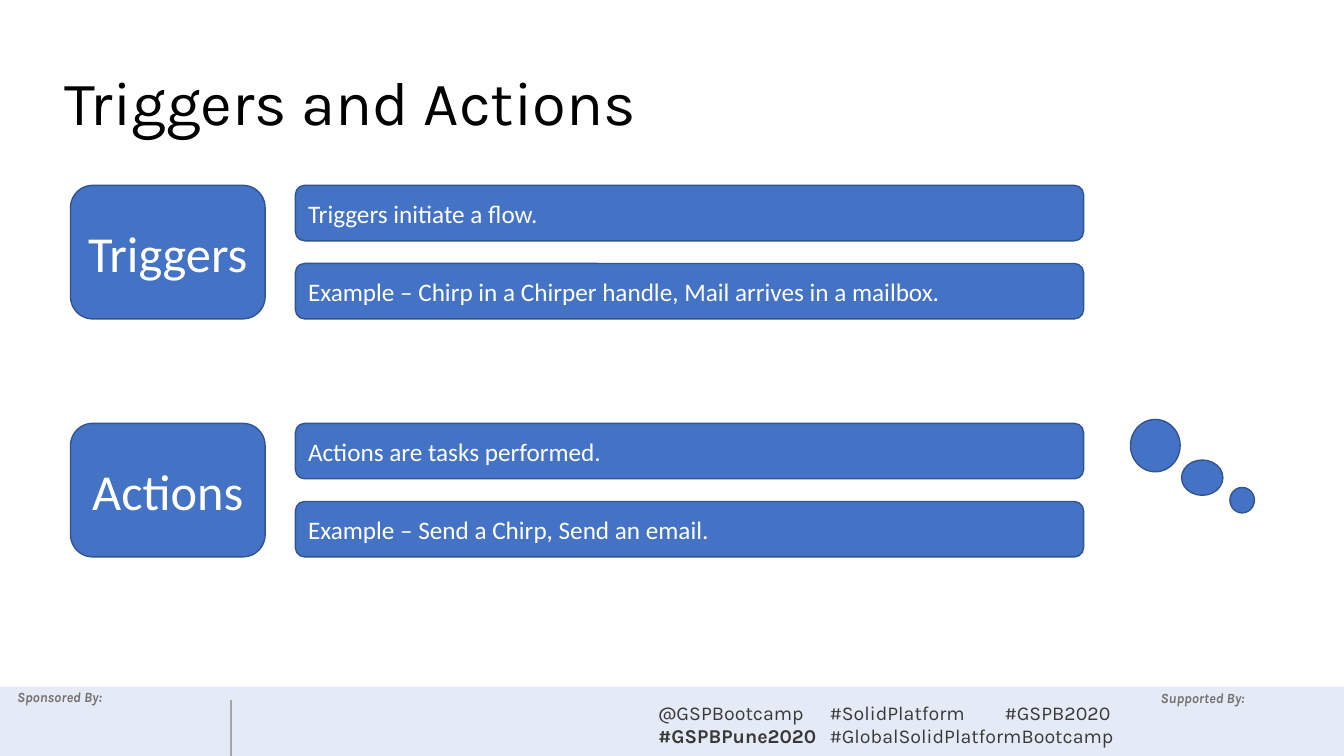
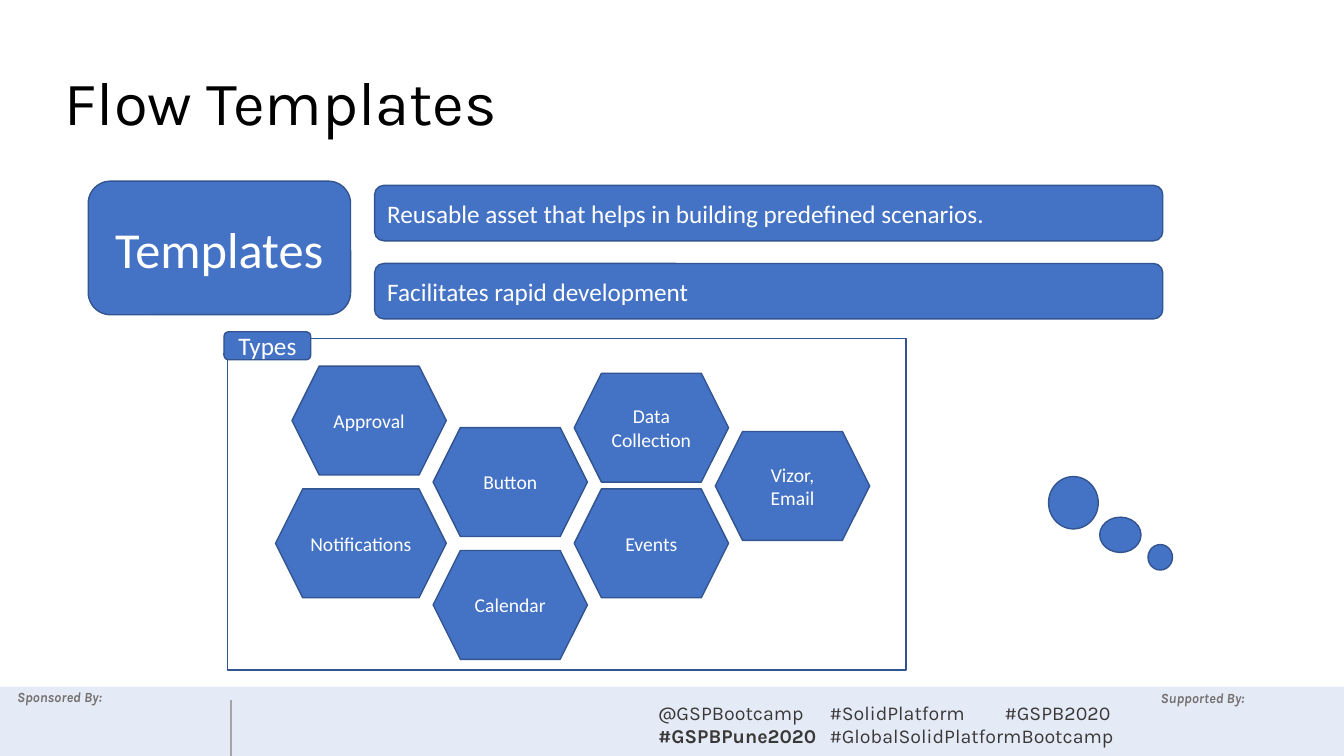
"""Builds two slides on flow triggers, actions and templates."""
from lxml import etree
from pptx import Presentation
from pptx.dml.color import RGBColor
from pptx.enum import shapes, text
from pptx.oxml.ns import qn
from pptx.util import Pt

BLUE = RGBColor(0x44, 0x72, 0xC4)
EDGE = RGBColor(0x32, 0x54, 0x91)
WHITE = RGBColor(255, 255, 255)
BLACK = RGBColor(0, 0, 0)
GREY = RGBColor(0x76, 0x71, 0x71)
DARK = RGBColor(0x3B, 0x38, 0x38)
RULE = RGBColor(0xA5, 0xA5, 0xA5)

KIND = shapes.MSO_SHAPE
LEFT, MID = text.PP_ALIGN.LEFT, text.PP_ALIGN.CENTER
WIDE, HIGH = 960, 540

CREDITS = [("Sponsored By:", (-17, 488, 119, 20)),
           ("Supported By:", (816, 489, 86, 20))]
TAGS = [(["@GSPBootcamp", "#GSPBPune2020"], (463, 497, 130, 41), [1]),
        (["#SolidPlatform", "#GlobalSolidPlatformBootcamp"],
         (585.5, 497, 235, 41), []),
        (["#GSPB2020"], (710.5, 497, 100, 24), [])]

BAR_W, BAR_H, BAR_STEP = 563, 39.6, 55.8
TOPIC_H = 95.4
TOPICS = [
    ("Triggers", ["Triggers initiate a flow.",
                  "Example – Chirp in a Chirper handle, Mail arrives in a mailbox."]),
    ("Actions", ["Actions are tasks performed.",
                 "Example – Send a Chirp, Send an email."])]
TOPIC_TOP, TOPIC_STEP = 132.4, 170
ASSET = ("Templates", ["Reusable asset that helps in building predefined scenarios.",
                       "Facilitates rapid development"])

HEX_W, HEX_H, HEX_X, HEX_STEP = 110.2, 77.8, 208.6, 100.8
TYPES = [[("Approval", 261.5, 0), ("Notifications", 349.2, 11.8)],
         [("Button", 305.4, 0), ("Calendar", 393.2, 0)],
         [("Data Collection", 266.6, 0), ("Events", 349.2, 0)],
         [("Vizor, Email", 308.2, 0)]]

DOTS = [(0, 0, 35.5, 37.4), (36.5, 29, 29.5, 25.2), (71, 48.6, 17.5, 18.2)]


def write(shape, lines, size=18, font="Calibri", color=WHITE, align=LEFT,
          bold=(), italic=False, anchor=text.MSO_ANCHOR.MIDDLE, space=1.0):
    frame = shape.text_frame
    frame.word_wrap = True
    frame.vertical_anchor = anchor
    for i, line in enumerate(lines):
        para = frame.paragraphs[0] if i == 0 else frame.add_paragraph()
        para.alignment, para.line_spacing = align, space
        run = para.add_run()
        run.text = line
        face = run.font
        face.name, face.size = font, Pt(size)
        face.color.rgb = color
        face.bold, face.italic = i in bold, italic


def label(slide, lines, box, **style):
    write(slide.shapes.add_textbox(*map(Pt, box)), lines, font="Karla", **style)


def block(slide, kind, box, words="", fill=BLUE, edge=EDGE, **style):
    shape = slide.shapes.add_shape(kind, *map(Pt, box))
    shape.shadow.inherit = False
    if fill is None:
        shape.fill.background()
    else:
        shape.fill.solid()
        shape.fill.fore_color.rgb = fill
    if edge is None:
        shape.line.fill.background()
    else:
        shape.line.color.rgb = edge
        shape.line.width = Pt(1)
    if words:
        write(shape, [words], **style)
    return shape


def base(deck, title):
    slide = deck.slides.add_slide(deck.slide_layouts[6])
    band = block(slide, KIND.RECTANGLE, (0, 490.4, WIDE, HIGH - 490.4), edge=None)
    tint = band.fill._xPr.find(qn("a:solidFill"))[0]
    etree.SubElement(tint, qn("a:alpha")).set("val", "14000")
    top = text.MSO_ANCHOR.TOP
    for words, box in CREDITS:
        label(slide, [words], box, size=10, color=GREY, align=MID,
              bold=[0], italic=True, anchor=top)
    for lines, box, bold in TAGS:
        label(slide, lines, box, size=14, color=DARK, bold=bold, anchor=top)
    rule = slide.shapes.add_connector(
        shapes.MSO_CONNECTOR.STRAIGHT, Pt(165), Pt(500), Pt(165), Pt(HIGH))
    rule.line.color.rgb = RULE
    rule.line.width = Pt(1.5)
    etree.SubElement(rule._element.spPr, qn("a:effectLst"))
    label(slide, [title], (39, 23, 828, 104.4), size=44, color=BLACK, space=0.9)
    return slide


def topic(slide, entry, box, bar_x, bar_y):
    name, facts = entry
    for i, fact in enumerate(facts):
        block(slide, KIND.ROUNDED_RECTANGLE,
              (bar_x, bar_y + i * BAR_STEP, BAR_W, BAR_H), fact)
    block(slide, KIND.ROUNDED_RECTANGLE, box, name, size=36, align=MID)


def dots(slide, left, top):
    for x, y, w, h in DOTS:
        block(slide, KIND.OVAL, (left + x, top + y, w, h))


def main():
    deck = Presentation()
    deck.slide_width, deck.slide_height = Pt(WIDE), Pt(HIGH)

    slide = base(deck, "Triggers and Actions")
    for i, entry in enumerate(TOPICS):
        y = TOPIC_TOP + i * TOPIC_STEP
        topic(slide, entry, (50.4, y, 139, TOPIC_H), 211, y)
    dots(slide, 807.5, 299.6)

    slide = base(deck, "Flow Templates")
    topic(slide, ASSET, (63, 129.4, 187.4, TOPIC_H), 267.6, TOPIC_TOP)
    for col, cells in enumerate(TYPES):
        for name, y, extra in cells:
            x = HEX_X + col * HEX_STEP - extra
            block(slide, KIND.HEXAGON, (x, y, HEX_W + extra, HEX_H), name,
                  size=14, align=MID)
    block(slide, KIND.RECTANGLE, (162.6, 241.8, 484.6, 236.8), fill=None)
    block(slide, KIND.ROUNDED_RECTANGLE, (160, 237, 62, 20), "Types", align=MID)
    dots(slide, 749, 340.4)

    deck.save("out.pptx")


if __name__ == "__main__":
    main()
